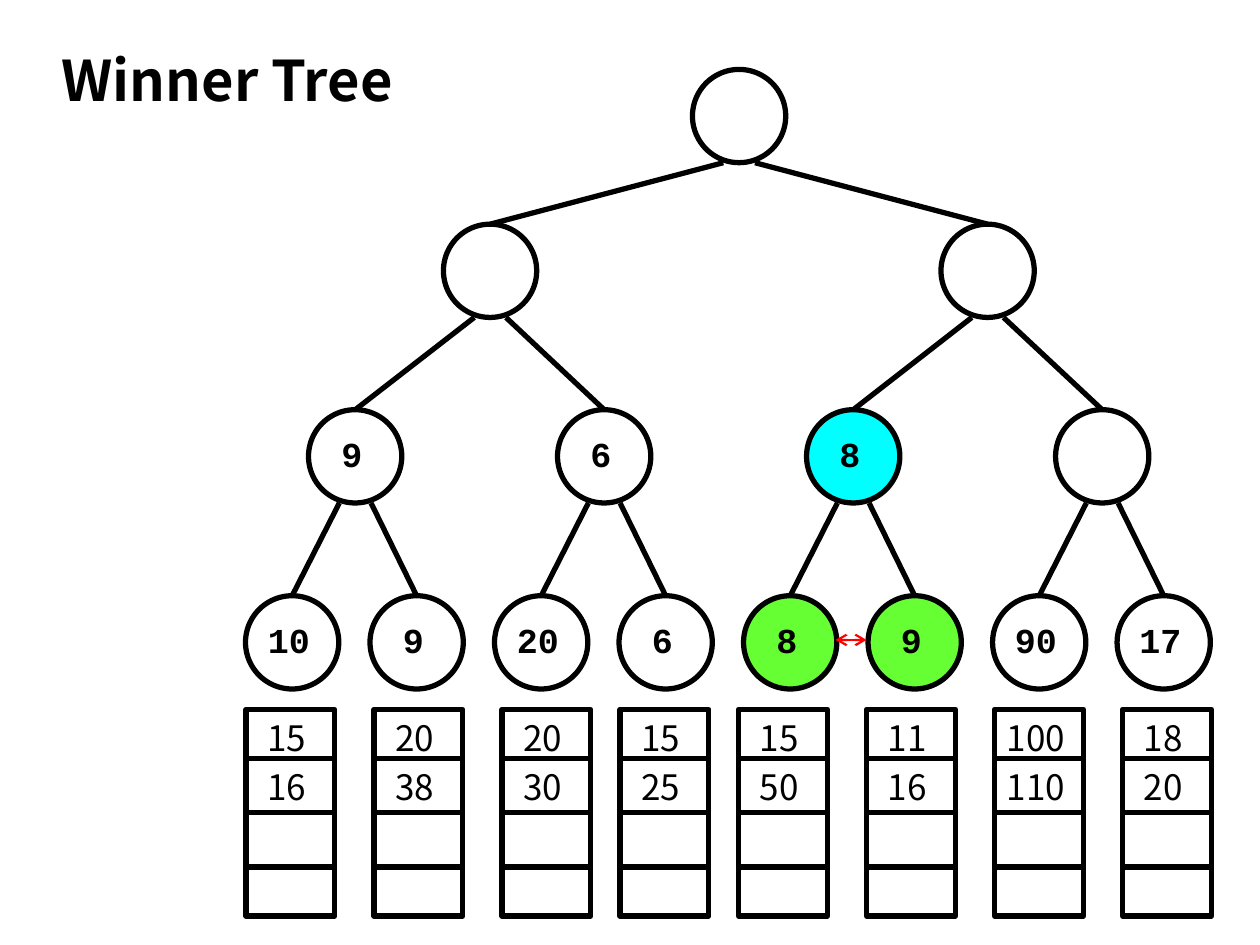
from pptx import Presentation
from pptx.dml.color import RGBColor
from pptx.enum.shapes import MSO_CONNECTOR, MSO_SHAPE
from pptx.enum.text import MSO_ANCHOR, PP_ALIGN
from pptx.oxml.ns import qn
from pptx.util import Cm, Pt
from lxml.etree import SubElement

BLACK = RGBColor(0, 0, 0)
RED = RGBColor(255, 0, 0)
CYAN = RGBColor(0, 255, 255)
GREEN = RGBColor(0x66, 0xFF, 0x33)

TITLE_FONT = {"name": "Noto Sans CJK KR", "size": Pt(32), "bold": True}
NODE_FONT = {"name": "Courier New", "size": Pt(20), "bold": True}
RUN_FONT = {"name": "Noto Sans CJK KR", "size": Pt(20), "bold": False}

DIAMETER = 1.88
BRANCH_OFFSET = 0.32
RUN_TOP, RUN_WIDTH, RUN_HEIGHT = 14.3, 1.79, 4.17
CELL_TEXT_HEIGHT = 1.12


def write(shape, text, font_format, alignment):
    frame = shape.text_frame
    frame.word_wrap = True
    frame.vertical_anchor = MSO_ANCHOR.MIDDLE
    paragraph = frame.paragraphs[0]
    paragraph.text = text
    paragraph.alignment = alignment
    for attribute, value in font_format.items():
        setattr(paragraph.font, attribute, value)
    paragraph.font.color.rgb = BLACK


def draw_line(x1, y1, x2, y2, color=BLACK, width=3):
    line = slide.shapes.add_connector(
        MSO_CONNECTOR.STRAIGHT, Cm(x1), Cm(y1), Cm(x2), Cm(y2))
    line.line.color.rgb = color
    line.line.width = Pt(width)
    SubElement(line._element.spPr, qn("a:effectLst"))
    return line


prs = Presentation()
prs.slide_width, prs.slide_height = Cm(25.4), Cm(19.05)
slide = prs.slides.add_slide(prs.slide_layouts[5])

heading = slide.shapes.title
heading_box = {"left": 0.99, "top": 0.79, "width": 8.53, "height": 1.63}
for attribute, value in heading_box.items():
    setattr(heading, attribute, Cm(value))
write(heading, "Winner Tree", TITLE_FONT, PP_ALIGN.LEFT)

levels = [
    (1.4, 14.9, 0, [""]),
    (4.52, 9.88, 10.03, ["", ""]),
    (8.26, 7.16, 5.02, ["9", "6", "8", ""]),
    (12.01, 5.89, 2.51, ["10", "9", "20", "6", "8", "9", "90", "17"]),
]
highlights = {(2, 2): CYAN, (3, 4): GREEN, (3, 5): GREEN}

tree = []
for depth, (top, first_center, pitch, winners) in enumerate(levels):
    nodes = []
    for i, winner in enumerate(winners):
        center = first_center + i * pitch
        node = slide.shapes.add_shape(
            MSO_SHAPE.OVAL, Cm(center - DIAMETER / 2), Cm(top),
            Cm(DIAMETER), Cm(DIAMETER))
        node.shadow.inherit = False
        node.line.color.rgb = BLACK
        node.line.width = Pt(3)
        if (depth, i) in highlights:
            node.fill.solid()
            node.fill.fore_color.rgb = highlights[depth, i]
        else:
            node.fill.background()
        if winner:
            margins = {"margin_left": 0, "margin_right": 0.13,
                       "margin_top": 0, "margin_bottom": 0.1}
            for attribute, value in margins.items():
                setattr(node.text_frame, attribute, Cm(value))
            write(node, winner, NODE_FONT, PP_ALIGN.CENTER)
        nodes.append((node, center, top))
    tree.append(nodes)

for parents, children in zip(tree, tree[1:]):
    for i, (child, child_center, child_top) in enumerate(children):
        parent, parent_center, parent_top = parents[i // 2]
        side = 1 if i % 2 else -1
        branch = draw_line(parent_center + side * BRANCH_OFFSET,
                           parent_top + DIAMETER, child_center, child_top)
        branch.end_connect(child, 0)

sorted_runs = [
    (4.96, ["15", "16"]), (7.54, ["20", "38"]),
    (10.12, ["20", "30"]), (12.5, ["15", "25"]),
    (14.89, ["15", "50"]), (17.47, ["11", "16"]),
    (20.05, ["100", "110"]), (22.63, ["18", "20"]),
]
for left, keys in sorted_runs:
    run_box = slide.shapes.add_shape(
        MSO_SHAPE.RECTANGLE, Cm(left), Cm(RUN_TOP), Cm(RUN_WIDTH), Cm(RUN_HEIGHT))
    run_box.shadow.inherit = False
    run_box.fill.background()
    run_box.line.color.rgb = BLACK
    run_box.line.width = Pt(3)
    dividers = [draw_line(left, y, left + RUN_WIDTH, y)
                for y in (15.29, RUN_TOP + RUN_HEIGHT / 2, 17.48)]
    dividers[1].begin_connect(run_box, 1)
    dividers[1].end_connect(run_box, 3)
    for key, top in zip(keys, (RUN_TOP, 15.29)):
        inset = 0.18 if len(key) == 2 else 0
        key_text = slide.shapes.add_textbox(
            Cm(left + inset), Cm(top), Cm(RUN_WIDTH - 2 * inset), Cm(CELL_TEXT_HEIGHT))
        write(key_text, key, RUN_FONT, PP_ALIGN.LEFT)

match = draw_line(16.84, 12.9, 17.47, 12.9, RED, 1.25)
for end in ("a:headEnd", "a:tailEnd"):
    SubElement(match.line._get_or_add_ln(), qn(end), type="arrow")

prs.save("out.pptx")
